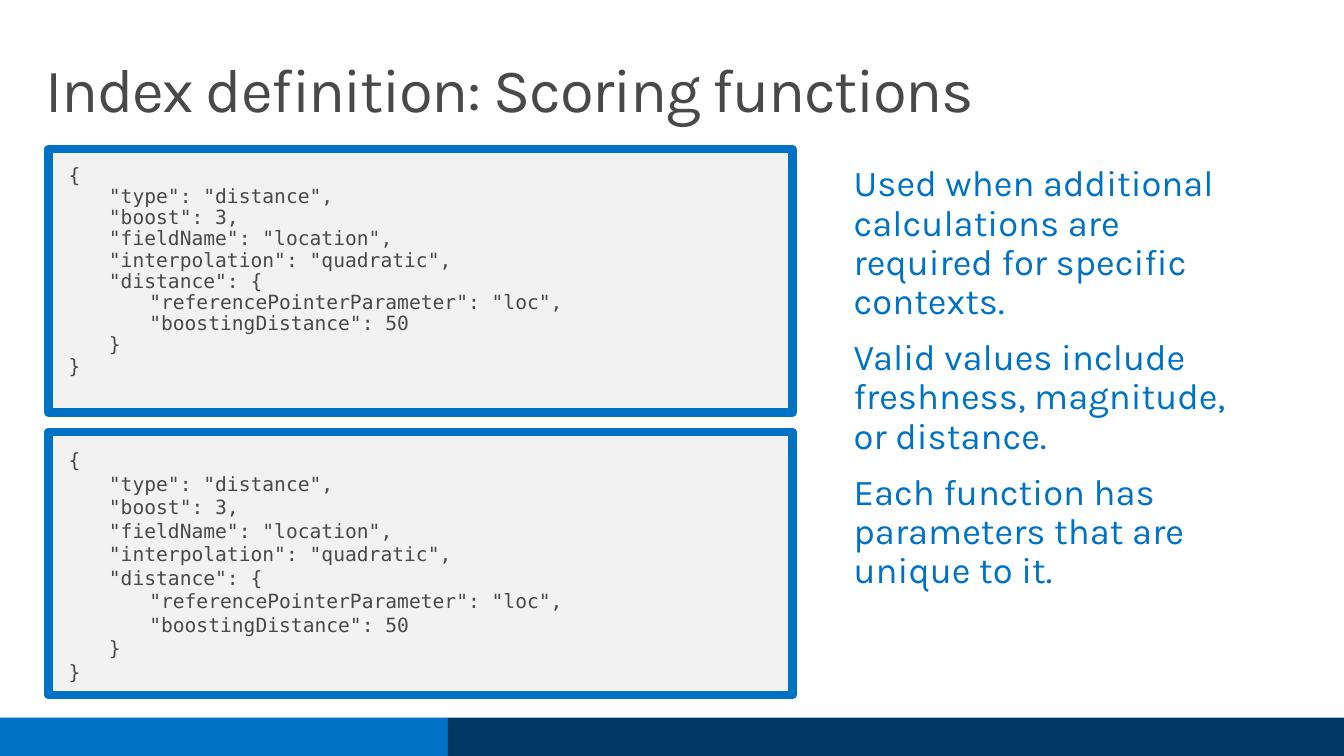
from pptx import Presentation
from pptx.dml.color import RGBColor
from pptx.enum.shapes import MSO_SHAPE
from pptx.enum.text import MSO_ANCHOR, PP_ALIGN
from pptx.util import Pt
from lxml import etree

RECT = MSO_SHAPE.RECTANGLE
TOP = MSO_ANCHOR.TOP
LEFT = PP_ALIGN.LEFT
BLUE = RGBColor(0x00, 0x72, 0xC6)
NAVY = RGBColor(0x00, 0x39, 0x63)
GREY = RGBColor(0x49, 0x49, 0x49)
PALE = RGBColor(0xF2, 0xF2, 0xF2)
A = "{http://schemas.openxmlformats.org/drawingml/2006/main}"
TAB = 28.8

CODE = [
    '{',
    '\t"type": "distance",',
    '\t"boost": 3,',
    '\t"fieldName": "location",',
    '\t"interpolation": "quadratic",',
    '\t"distance": {',
    '\t\t"referencePointerParameter": "loc",',
    '\t\t"boostingDistance": 50',
    '\t}',
    '}',
]
NOTES = [
    "Used when additional calculations are required for specific contexts.",
    "Valid values include freshness, magnitude, or distance.",
    "Each function has parameters that are unique to it.",
]

prs = Presentation()
prs.slide_width, prs.slide_height = Pt(960), Pt(540)
s = prs.slides.add_slide(prs.slide_layouts[6])


def add_rect(x, y, w, h, fill):
    sp = s.shapes.add_shape(RECT, Pt(x), Pt(y), Pt(w), Pt(h))
    sp.shadow.inherit = False
    sp.fill.solid()
    sp.fill.fore_color.rgb = fill
    sp.line.fill.background()
    return sp


def write(sp, lines, font, size, color, spacing, before=0, inset=(14.4, 11.5), tabs=0):
    tf = sp.text_frame
    tf.word_wrap = True
    tf.vertical_anchor = TOP
    tf.margin_left = tf.margin_right = Pt(inset[0])
    tf.margin_top = tf.margin_bottom = Pt(inset[1])
    for i, line in enumerate(lines):
        p = tf.add_paragraph() if i else tf.paragraphs[0]
        p.alignment = LEFT
        p.line_spacing = spacing
        if i and before:
            p.space_before = Pt(before)
        if tabs:
            stops = etree.SubElement(p._p.get_or_add_pPr(), A + "tabLst")
            for n in range(1, tabs + 1):
                etree.SubElement(stops, A + "tab", pos=str(Pt(TAB * n)), algn="l")
        r = p.add_run()
        r.text = line
        r.font.name, r.font.size = font, Pt(size)
        r.font.color.rgb = color
    return tf


# Footer band
add_rect(0, 512.6, 320, 27.4, BLUE)
add_rect(320, 512.6, 640, 27.4, NAVY)

# Title
sp = s.shapes.add_textbox(Pt(20.9), Pt(20.2), Pt(888), Pt(85))
tf = write(sp, ["Index definition: Scoring functions"], "Karla", 44, GREY,
           Pt(61.8), inset=(11.5, 7.2))
tf.paragraphs[0].runs[0].font._element.set("spc", "-100")

# Code panels
for y, spacing in ((106.6, 0.9), (308.4, 1.0)):
    sp = add_rect(34.6, y, 531.4, 188.2, PALE)
    sp.line.color.rgb = BLUE
    sp.line.width = Pt(6)
    etree.SubElement(sp.line._get_or_add_ln(), A + "round")
    write(sp, CODE, "DejaVu Sans Mono", 14, GREY, spacing, tabs=2)

# Explanation
sp = s.shapes.add_textbox(Pt(595.4), Pt(106.6), Pt(314), Pt(380))
write(sp, NOTES, "Karla", 26, BLUE, 0.9, before=12)

prs.save("out.pptx")
